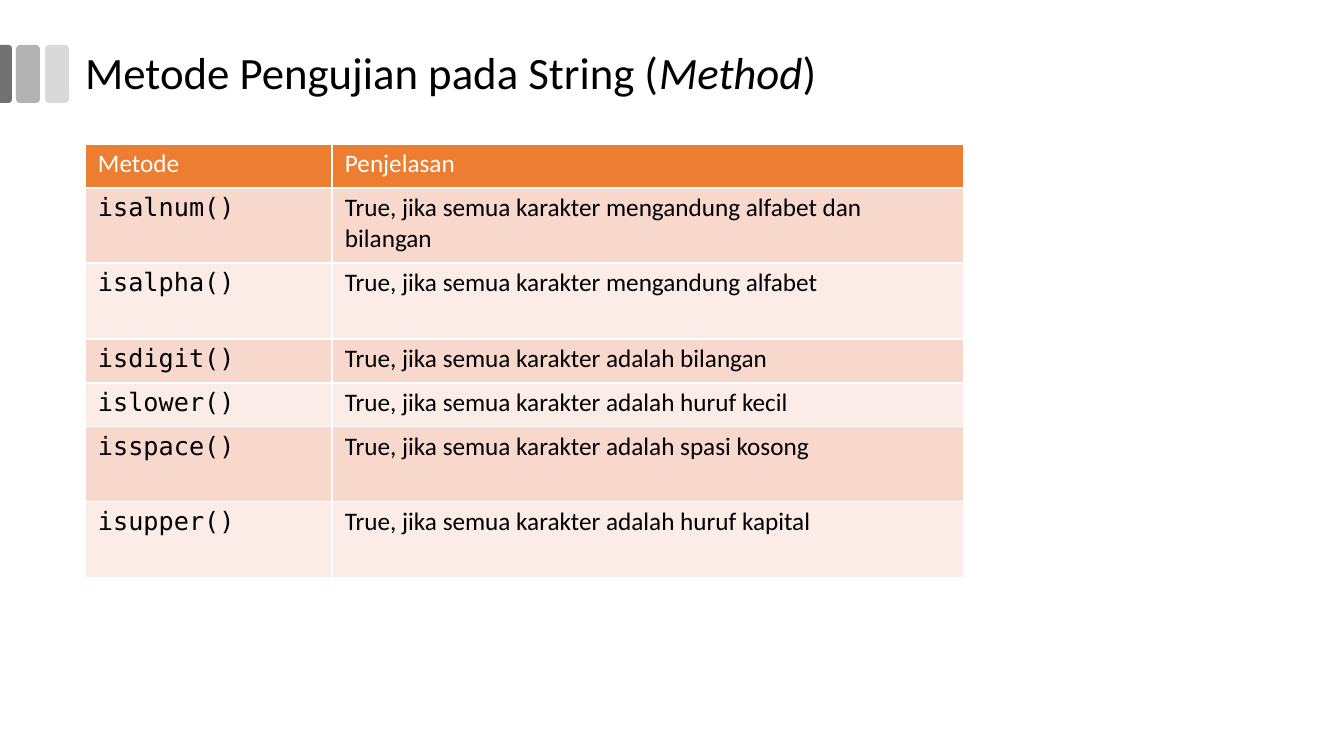
from lxml import etree
from pptx import Presentation, util as u
from pptx.dml.color import RGBColor
from pptx.enum import shapes, text
from pptx.oxml.ns import qn

PX = 914400 / 100.8  # EMU in one px
THEME = {
    "bars": ["D9D9D9", "B3B3B3", "717171"],
    "header": "ED7D31", "bands": ["F8D7CD", "FBECE7"],
    "light": "FFFFFF", "dark": "000000",
    "body_font": "Calibri", "code_font": "DejaVu Sans Mono",
    "title_size": 32, "table_size": 18, "border": 0.96,
}


def px(*lengths):
    return [u.Emu(round(length * PX)) for length in lengths]


def add_run(paragraph, words, name, size, color, italic=False):
    run = paragraph.add_run()
    run.text = words
    for key, value in {"name": name, "size": u.Pt(size), "italic": italic}.items():
        setattr(run.font, key, value)
    run.font.color.rgb = RGBColor.from_string(color)


presentation = Presentation()
presentation.slide_width, presentation.slide_height = px(1344, 756)
slide = presentation.slides.add_slide(presentation.slide_layouts[6])

# Grey bars at the left edge; the last one is turned on its side
kinds = shapes.MSO_SHAPE
bars = [
    (kinds.ROUNDED_RECTANGLE, (45, 45, 24, 58), [0.167], 0),
    (kinds.ROUNDED_RECTANGLE, (16, 45, 24, 58), [0.167], 0),
    (kinds.ROUND_2_SAME_RECTANGLE, (-23, 68, 58, 12), [0.292, 0], 90),
]
for (kind, box, adjustments, rotation), color in zip(bars, THEME["bars"]):
    bar = slide.shapes.add_shape(kind, *px(*box))
    for index, value in enumerate(adjustments):
        bar.adjustments[index] = value
    bar.rotation = rotation
    bar.shadow.inherit = False
    bar.fill.solid()
    bar.fill.fore_color.rgb = RGBColor.from_string(color)
    bar.line.fill.background()

# Title
title = slide.shapes.add_textbox(*px(72, 38, 1159, 96))
inset, cell_inset = px(13, 5)
frame_format = {"word_wrap": True, "vertical_anchor": text.MSO_ANCHOR.TOP,
                "margin_left": inset, "margin_right": inset,
                "margin_top": inset, "margin_bottom": inset}
for key, value in frame_format.items():
    setattr(title.text_frame, key, value)
paragraph = title.text_frame.paragraphs[0]
paragraph.line_spacing = 0.9
for words, italic in [("Metode Pengujian pada String (", False), ("Method", True), (")", False)]:
    add_run(paragraph, words, THEME["body_font"], THEME["title_size"], THEME["dark"], italic)

# Table of methods: row height, method, explanation
rows = [
    (44, "Metode", "Penjelasan"),
    (75, "isalnum()", "True, jika semua karakter mengandung alfabet dan bilangan"),
    (76, "isalpha()", "True, jika semua karakter mengandung alfabet"),
    (44, "isdigit()", "True, jika semua karakter adalah bilangan"),
    (44, "islower()", "True, jika semua karakter adalah huruf kecil"),
    (75, "isspace()", "True, jika semua karakter adalah spasi kosong"),
    (76, "isupper()", "True, jika semua karakter adalah huruf kapital"),
]
widths = [247, 632]
height = sum(row[0] for row in rows)
table = slide.shapes.add_table(
    len(rows), len(widths), *px(85, 144, sum(widths), height)).table
for column, width in zip(table.columns, px(*widths)):
    column.width = width

cell_format = {"margin_left": inset, "margin_right": inset,
               "margin_top": cell_inset, "margin_bottom": cell_inset}
for row_index, (row_height, *entries) in enumerate(rows):
    table.rows[row_index].height = px(row_height)[0]
    is_header = row_index == 0
    fill = THEME["header"] if is_header else THEME["bands"][(row_index - 1) % 2]
    color = THEME["light"] if is_header else THEME["dark"]
    for column_index, words in enumerate(entries):
        cell = table.cell(row_index, column_index)
        for key, value in cell_format.items():
            setattr(cell, key, value)
        is_code = column_index == 0 and not is_header
        font = THEME["code_font"] if is_code else THEME["body_font"]
        add_run(cell.text_frame.paragraphs[0], words, font, THEME["table_size"], color)
        # Borders come before the fill in the cell properties
        properties = cell._tc.get_or_add_tcPr()
        for side in ("a:lnL", "a:lnR", "a:lnT", "a:lnB"):
            line = etree.SubElement(properties, qn(side), w=str(u.Pt(THEME["border"])))
            solid = etree.SubElement(line, qn("a:solidFill"))
            etree.SubElement(solid, qn("a:srgbClr"), val=THEME["light"])
        cell.fill.solid()
        cell.fill.fore_color.rgb = RGBColor.from_string(fill)

        # The header flag would make the first row bold
        table.first_row = False

presentation.save("out.pptx")
